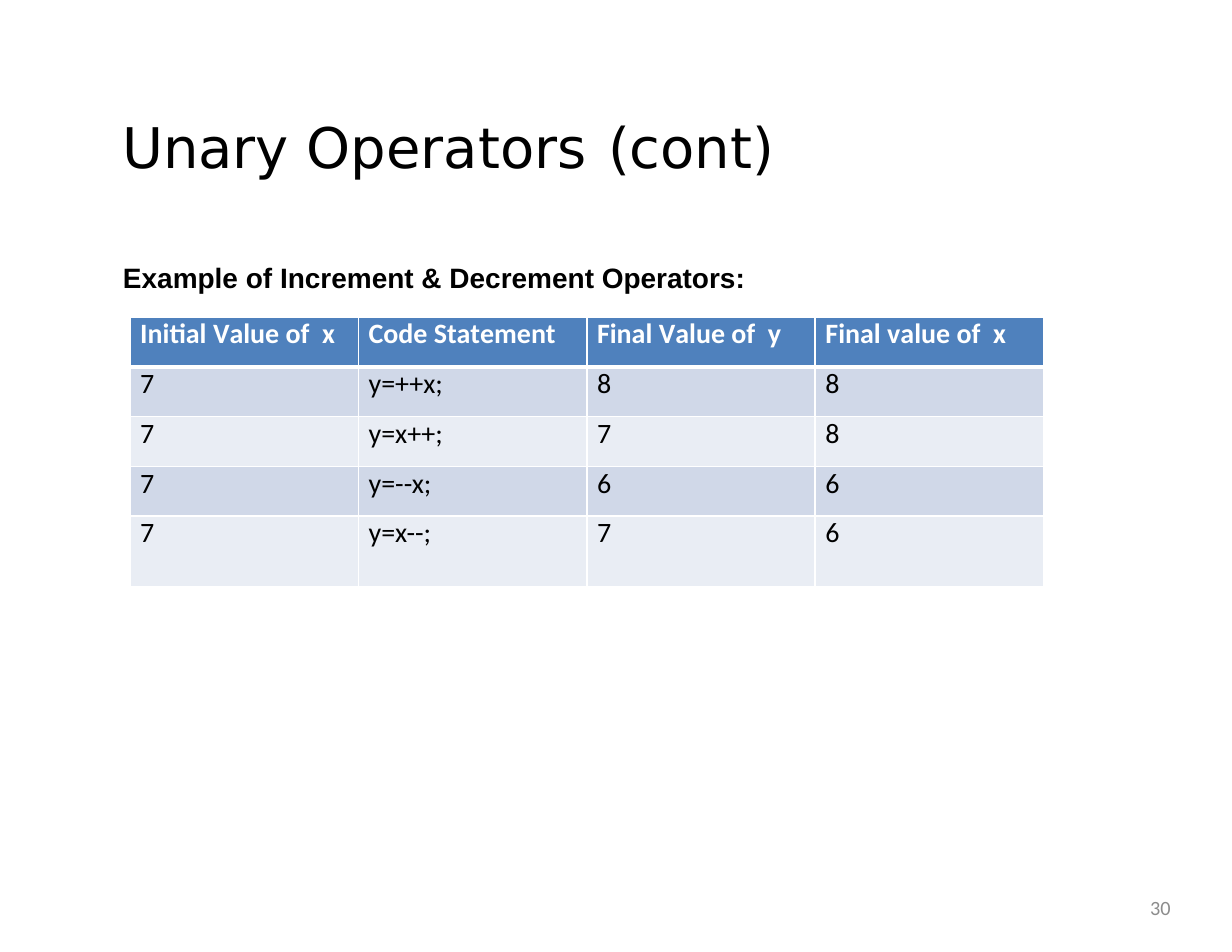
"""Build the slide on unary operators with its increment and decrement table."""
import lxml.etree
import pptx
import pptx.dml.color
import pptx.enum.text
import pptx.oxml.ns
import pptx.util

Cm = pptx.util.Cm
Pt = pptx.util.Pt
qn = pptx.oxml.ns.qn
BLACK = pptx.dml.color.RGBColor(0x00, 0x00, 0x00)
WHITE = pptx.dml.color.RGBColor(0xFF, 0xFF, 0xFF)
GREY = pptx.dml.color.RGBColor(0x8C, 0x8C, 0x8C)
BLUE = pptx.dml.color.RGBColor(0x4F, 0x81, 0xBD)
BANDS = [
    pptx.dml.color.RGBColor(0xE9, 0xED, 0xF4),
    pptx.dml.color.RGBColor(0xD0, 0xD8, 0xE8),
]


def write(frame, pieces, font, size, color, bold=False, align=pptx.enum.text.PP_ALIGN.LEFT):
    paragraph = frame.paragraphs[0]
    paragraph.alignment = align
    for text, spacing in pieces:
        run = paragraph.add_run()
        run.text = text
        run.font.name = font
        run.font.size = Pt(size)
        run.font.bold = bold
        run.font.color.rgb = color
        if spacing:
            run.font._element.set("spc", str(spacing))
    return paragraph


def place(box, left, top, width, height, anchor=pptx.enum.text.MSO_ANCHOR.TOP):
    box.left, box.top, box.width, box.height = Cm(left), Cm(top), Cm(width), Cm(height)
    frame = box.text_frame
    frame.margin_left = frame.margin_top = frame.margin_right = frame.margin_bottom = 0
    frame.word_wrap = True
    frame.auto_size = pptx.enum.text.MSO_AUTO_SIZE.NONE
    frame.vertical_anchor = anchor
    return frame


deck = pptx.Presentation()
deck.slide_width, deck.slide_height = Cm(27.94), Cm(21.59)
slide = deck.slides.add_slide(deck.slide_layouts[5])

title = place(slide.shapes.title, 2.77, 2.54, 16, 1.55)
heading = write(
    title,
    [("Unary Ope", 0), ("r", -60), ("ators\t(cont)", 0)],
    "DejaVu Sans", 36, BLACK,
)
tabs = lxml.etree.SubElement(heading._p.get_or_add_pPr(), qn("a:tabLst"))
lxml.etree.SubElement(tabs, qn("a:tab"), pos=str(Cm(11.02)), algn="l")

caption = place(slide.shapes.add_textbox(0, 0, 0, 0), 2.79, 5.92, 15, 0.71)
write(caption, [("Example of Increment & Decrement Operators:", 0)], "Arial", 18, BLACK, True)

page_number = place(
    slide.shapes.add_textbox(0, 0, 0, 0), 20.02, 20.02, 6.53, 1.14,
    pptx.enum.text.MSO_ANCHOR.MIDDLE,
)
write(page_number, [("30", 0)], "Calibri", 13, GREY, align=pptx.enum.text.PP_ALIGN.RIGHT)

headers = [
    [("Initial ", 0), ("V", -90), ("alue of  x", 0)],
    [("Code Sta", 0), ("t", -20), ("ement", 0)],
    [("Final ", 0), ("V", -90), ("alue of  y", 0)],
    [("Final ", 0), ("v", -20), ("alue of  x", 0)],
]
examples = [
    ("7", "y=++x;", "8", "8"),
    ("7", "y=x++;", "7", "8"),
    ("7", "y=--x;", "6", "6"),
    ("7", "y=x--;", "7", "6"),
]
rows = [headers] + [[[(value, 0)] for value in example] for example in examples]
row_heights = [1.13] * 4 + [1.6]

operators = slide.shapes.add_table(
    len(rows), len(headers), Cm(2.95), Cm(7.19), Cm(20.74), Cm(sum(row_heights))
).table
operators.horz_banding = False
for column in operators.columns:
    column.width = Cm(5.18)

for row_index, row in enumerate(rows):
    is_header = row_index == 0
    operators.rows[row_index].height = Cm(row_heights[row_index])
    edges = {
        "a:lnL": 1.18,
        "a:lnR": 1.18,
        "a:lnT": 3.1 if row_index == 1 else 1.18,
        "a:lnB": 3.1 if is_header else 1.18,
    }
    for column_index, pieces in enumerate(row):
        cell = operators.cell(row_index, column_index)
        cell.margin_left = Cm(0.23)
        cell.margin_top = cell.margin_right = cell.margin_bottom = 0
        write(cell.text_frame, pieces, "Calibri", 18, WHITE if is_header else BLACK, is_header)
        properties = cell._tc.get_or_add_tcPr()
        for edge, width in edges.items():
            line = lxml.etree.SubElement(properties, qn(edge), w=str(Pt(width)))
            fill = lxml.etree.SubElement(line, qn("a:solidFill"))
            lxml.etree.SubElement(fill, qn("a:srgbClr"), val=str(WHITE))
        cell.fill.solid()
        cell.fill.fore_color.rgb = BLUE if is_header else BANDS[row_index % 2]

deck.save("out.pptx")
